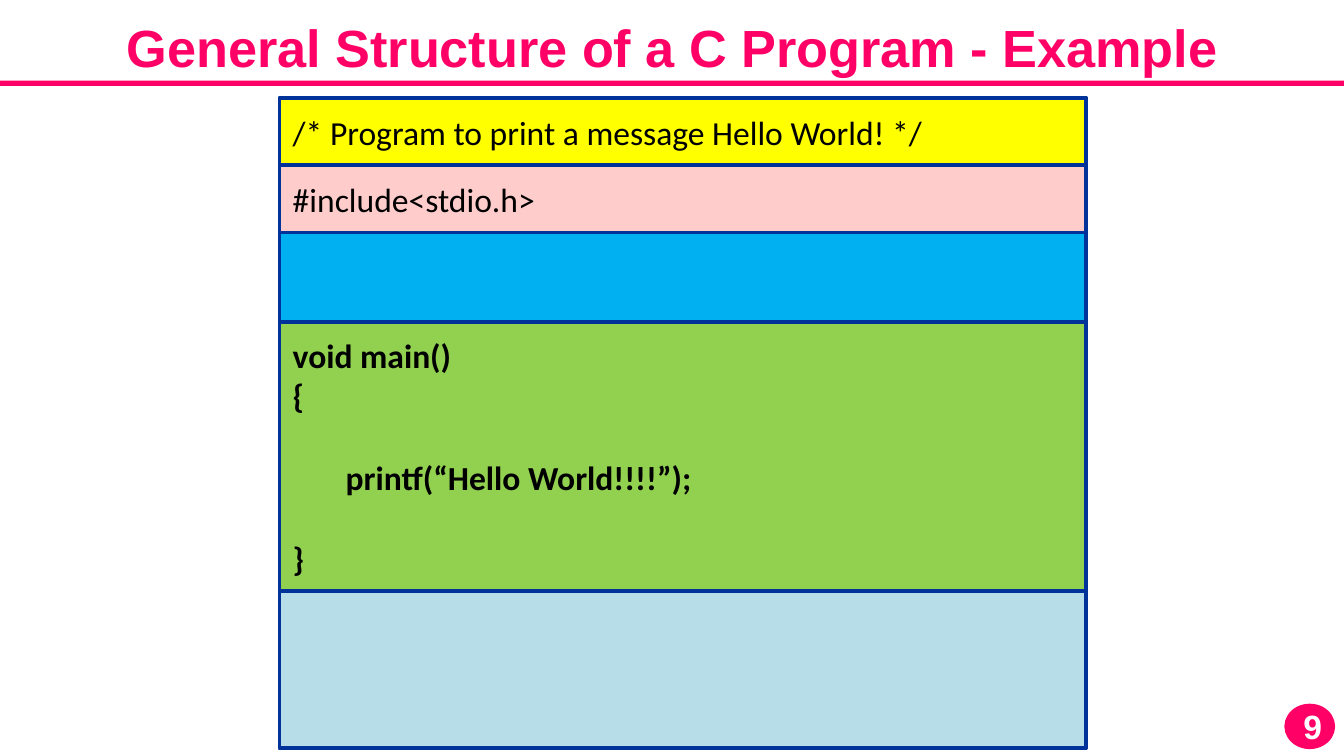
"""Build a slide showing the sections of a small C program as stacked bands."""
from dataclasses import dataclass

from pptx import Presentation
from pptx.dml.color import RGBColor as RGB
from pptx.enum.shapes import MSO_SHAPE as SHAPE
from pptx.enum.text import MSO_ANCHOR as ANCHOR, MSO_AUTO_SIZE as FIT, PP_ALIGN as ALIGN
from pptx.util import Inches, Pt


@dataclass(frozen=True)
class Theme:
    accent: str = "FF0066"
    border: str = "003399"
    ink: str = "000000"
    paper: str = "FFFFFF"
    comment: str = "FFFF00"
    include: str = "FFCCCC"
    declarations: str = "00B0F0"
    main: str = "92D050"
    functions: str = "B7DEE8"
    head_font: str = "Arial"
    code_font: str = "Calibri"
    title_size: int = 28
    text_size: int = 18
    code_gap: int = 22
    line_width: int = 2


def add_box(shapes, kind, box, fill=None, line=None):
    sp = shapes.add_shape(kind, *box)
    sp.shadow.inherit = False
    if fill:
        sp.fill.solid()
        sp.fill.fore_color.rgb = RGB.from_string(fill)
    else:
        sp.fill.background()
    if line:
        sp.line.color.rgb = RGB.from_string(line)
        sp.line.width = Pt(theme.line_width)
    else:
        sp.line.fill.background()
    return sp


def style_text(tf, align, font, size, color, bold):
    for p in tf.paragraphs:
        p.alignment = align
        for r in p.runs:
            r.font.name, r.font.size, r.font.bold = font, Pt(size), bold
            r.font.color.rgb = RGB.from_string(color)


theme = Theme()
prs = Presentation()
W = Inches(10)
prs.slide_width, prs.slide_height = W, W * 9 // 16
s = prs.slides.add_slide(prs.slide_layouts[5])

title = s.shapes.title
title.left, title.top, title.width, title.height = 0, Inches(0.06), W, Inches(0.57)
tf = title.text_frame
tf.text = "General Structure of a C Program - Example"
tf.auto_size, tf.vertical_anchor = FIT.NONE, ANCHOR.TOP
style_text(tf, ALIGN.CENTER, theme.head_font, theme.title_size, theme.accent, True)

add_box(s.shapes, SHAPE.RECTANGLE, (0, Inches(0.6), W, Inches(0.04)), theme.accent)

badge = (Inches(9.57), Inches(5.25), Inches(0.35), Inches(0.31))
add_box(s.shapes, SHAPE.OVAL, badge, theme.accent, theme.accent)
number = s.shapes.add_textbox(Inches(9.6), Inches(5.2), Inches(0.29), Inches(0.4))
tf = number.text_frame
tf.text = "9"
tf.word_wrap = False
style_text(tf, ALIGN.CENTER, theme.head_font, theme.text_size, theme.paper, True)

row = Inches(1) // 6
left, top, width = Inches(2.08), Inches(0.73), Inches(6)
bands = [
    (3, theme.comment, ["/* Program to print a message Hello World! */"], False),
    (3, theme.include, ["#include<stdio.h>"], False),
    (4, theme.declarations, [], False),
    (12, theme.main, ["void main()", "{", "       printf(“Hello World!!!!”);", "}"], True),
    (7, theme.functions, [], False),
]
total = sum(band[0] for band in bands)
add_box(s.shapes, SHAPE.RECTANGLE, (left, top, width, total * row), line=theme.border)

for rows, fill, code, bold in bands:
    sp = add_box(s.shapes, SHAPE.RECTANGLE, (left, top, width, rows * row), fill, theme.border)
    top += rows * row
    if code:
        tf = sp.text_frame
        tf.text = "\n".join(code)
        tf.word_wrap, tf.vertical_anchor = True, ANCHOR.MIDDLE
        style_text(tf, ALIGN.LEFT, theme.code_font, theme.text_size, theme.ink, bold)
        for p in tf.paragraphs[2:]:
            p.space_before = Pt(theme.code_gap)

prs.save("out.pptx")
